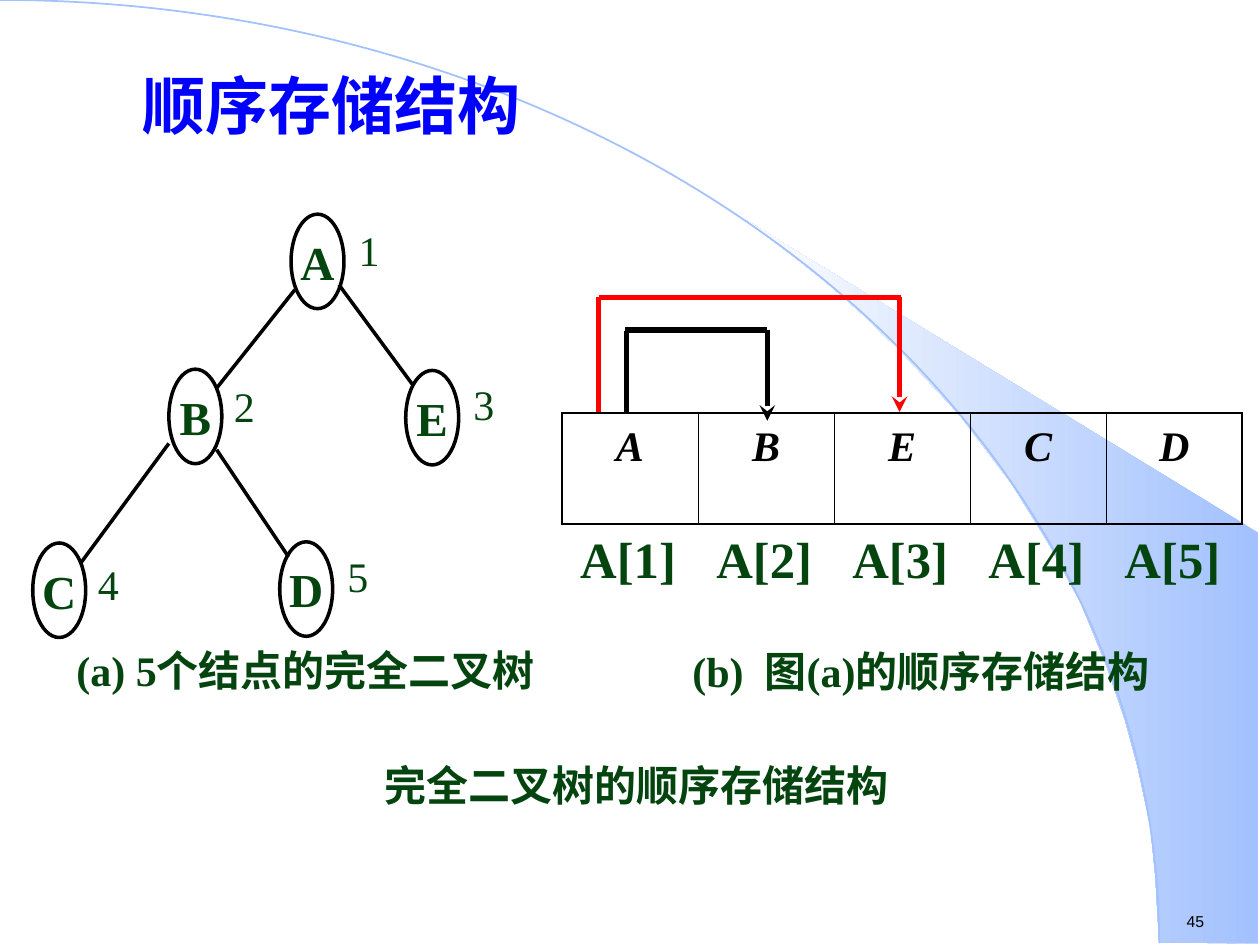
"""Build the slide on sequential storage of a complete binary tree."""
import pptx
import pptx.dml.color
import pptx.enum.shapes
import pptx.enum.text
import pptx.oxml
import pptx.oxml.ns
import pptx.util
from lxml import etree

Inches = pptx.util.Inches
Pt = pptx.util.Pt
qn = pptx.oxml.ns.qn
SHAPE = pptx.enum.shapes.MSO_SHAPE
ALIGN = pptx.enum.text.PP_ALIGN
ANCHOR = pptx.enum.text.MSO_ANCHOR
GREEN, BLACK, RED, BLUE, SKY = "04440F", "000000", "FF0000", "0000FF", "A2C1FE"


def color(value):
    return pptx.dml.color.RGBColor.from_string(value)


def write(frame, text, size=24, ink=GREEN, bold=True, italic=False,
          face="Times New Roman", align=ALIGN.CENTER, spacing=None,
          margins=(0, 0), anchor=ANCHOR.TOP):
    frame.word_wrap = True
    frame.margin_left = frame.margin_right = Inches(margins[0])
    frame.margin_top = frame.margin_bottom = Inches(margins[1])
    frame.vertical_anchor = anchor
    paragraph = frame.paragraphs[0]
    paragraph.alignment = align
    paragraph.line_spacing = spacing
    run = paragraph.add_run()
    run.text = text
    run.font.name = face
    run.font.size = Pt(size)
    run.font.bold = bold
    run.font.italic = italic
    run.font.color.rgb = color(ink)


deck = pptx.Presentation()
deck.slide_width, deck.slide_height = Inches(10), Inches(7.5)
slide = deck.slides.add_slide(deck.slide_layouts[6])
shapes = slide.shapes

beam_points = [
    (9.2, 7.48), (9.99, 7.49), (9.99, 4.23), (5.89, 1.73), (6.24, 1.99),
    (6.53, 2.22), (6.85, 2.5), (7.16, 2.8), (7.62, 3.3), (8.03, 3.84),
    (8.32, 4.31), (8.58, 4.79), (8.78, 5.28), (8.93, 5.72), (9.03, 6.09),
    (9.13, 6.56), (9.17, 6.96),
]
outline = [(Inches(x), Inches(y)) for x, y in beam_points]
builder = shapes.build_freeform(*outline[0])
builder.add_line_segments(outline[1:], close=True)
beam = builder.convert_to_shape()
beam.shadow.inherit = False
beam.line.fill.background()
beam.fill.gradient()
beam.fill.gradient_angle = 180
for stop, shade in zip(beam.fill.gradient_stops, (SKY, "FEFEFE")):
    stop.color.rgb = color(shade)
beam.fill.gradient_stops[0].position = 0
beam.fill.gradient_stops[1].position = 1

horizon = shapes.add_shape(SHAPE.ARC, Inches(-9.2), 0, Inches(18.4), Inches(14.97))
horizon.shadow.inherit = False
horizon.fill.background()
horizon.line.color.rgb = color(SKY)
horizon.line.width = Pt(1)

nodes = [
    ("A", 2.31, 1.7), ("B", 1.34, 2.93), ("E", 3.22, 2.94),
    ("C", 0.26, 4.31), ("D", 2.22, 4.3),
]
for letter, left, top in nodes:
    node = shapes.add_shape(SHAPE.OVAL, Inches(left), Inches(top), Inches(0.42), Inches(0.75))
    node.shadow.inherit = False
    node.fill.background()
    node.line.color.rgb = color(BLACK)
    node.line.width = Pt(2)
    write(node.text_frame, letter, size=27, anchor=ANCHOR.MIDDLE)

number = {"bold": False, "spacing": 0.8}
captions = [
    ("顺序存储结构", 0.35, 0.48, 4.57, 0.7,
     {"size": 36, "ink": BLUE, "margins": (0.1, 0.05)}),
    ("(a) 5个结点的完全二叉树", 0.35, 5.17, 4.15, 0.55, {"spacing": 0.88}),
    ("(b)  图(a)的顺序存储结构", 5.3, 5.11, 4.02, 0.45, {"spacing": Pt(30)}),
    ("完全二叉树的顺序存储结构", 2.17, 6.01, 5.77, 0.42, {"spacing": Pt(30)}),
    ("45", 9.32, 7.19, 0.77, 0.25,
     {"size": 9, "ink": BLACK, "bold": False, "face": "Arial",
      "align": ALIGN.LEFT, "margins": (0.1, 0.05)}),
    ("1", 2.83, 1.86, 0.2, 0.41, number),
    ("2", 1.85, 3.1, 0.18, 0.43, number),
    ("3", 3.74, 3.08, 0.2, 0.47, number),
    ("4", 0.76, 4.51, 0.2, 0.4, number),
    ("5", 2.74, 4.45, 0.2, 0.44, number),
]
column = 1.08
for index in range(5):
    captions.append((f"A[{index + 1}]", 4.59 + column * index, 4.31, 0.79, 0.39,
                     {"size": 29, "spacing": 0.72}))
for text, left, top, width, height, style in captions:
    caption = shapes.add_textbox(Inches(left), Inches(top), Inches(width), Inches(height))
    write(caption.text_frame, text, **style)

storage = shapes.add_table(1, 5, Inches(4.46), Inches(3.28), Inches(column * 5), Inches(0.88)).table
storage.first_row = False
storage.horz_banding = False
for index, letter in enumerate("ABECD"):
    storage.columns[index].width = Inches(column)
    cell = storage.cell(0, index)
    write(cell.text_frame, letter, ink=BLACK, italic=True, spacing=1.1)
    cell.margin_left = cell.margin_right = Inches(0.1)
    cell.margin_top = cell.margin_bottom = Inches(0.05)
    cell.vertical_anchor = ANCHOR.TOP
    borders = {
        "a:lnL": 1.08 if index == 0 else 0.45,
        "a:lnR": 1.08 if index == 4 else 0.45,
        "a:lnT": 1.08,
        "a:lnB": 1.08,
    }
    properties = cell._tc.get_or_add_tcPr()
    for tag, weight in borders.items():
        border = etree.SubElement(properties, qn(tag), w=str(Pt(weight)))
        solid = etree.SubElement(border, qn("a:solidFill"))
        etree.SubElement(solid, qn("a:srgbClr"), val=BLACK)
    cell.fill.background()

links = [
    (2.34, 2.3, 1.72, 3.08, BLACK, 2, False),
    (2.69, 2.26, 3.28, 3.06, BLACK, 2, False),
    (1.34, 3.52, 0.64, 4.47, BLACK, 2, False),
    (1.72, 3.57, 2.29, 4.42, BLACK, 2, False),
    (4.97, 3.28, 4.97, 2.63, BLACK, 3, False),
    (4.96, 2.62, 6.09, 2.62, BLACK, 3, False),
    (6.09, 2.62, 6.09, 3.34, BLACK, 3, True),
    (4.75, 3.27, 4.75, 2.36, RED, 3, False),
    (4.75, 2.36, 7.15, 2.36, RED, 3, False),
    (7.14, 2.36, 7.14, 3.27, RED, 3, True),
]
for x1, y1, x2, y2, ink, weight, pointed in links:
    link = shapes.add_connector(pptx.enum.shapes.MSO_CONNECTOR.STRAIGHT,
                                Inches(x1), Inches(y1), Inches(x2), Inches(y2))
    link.line.color.rgb = color(ink)
    link.line.width = Pt(weight)
    if pointed:
        etree.SubElement(link.line._get_or_add_ln(), qn("a:tailEnd"), type="stealth")
    etree.SubElement(link._element.spPr, qn("a:effectLst"))

deck.save("out.pptx")
